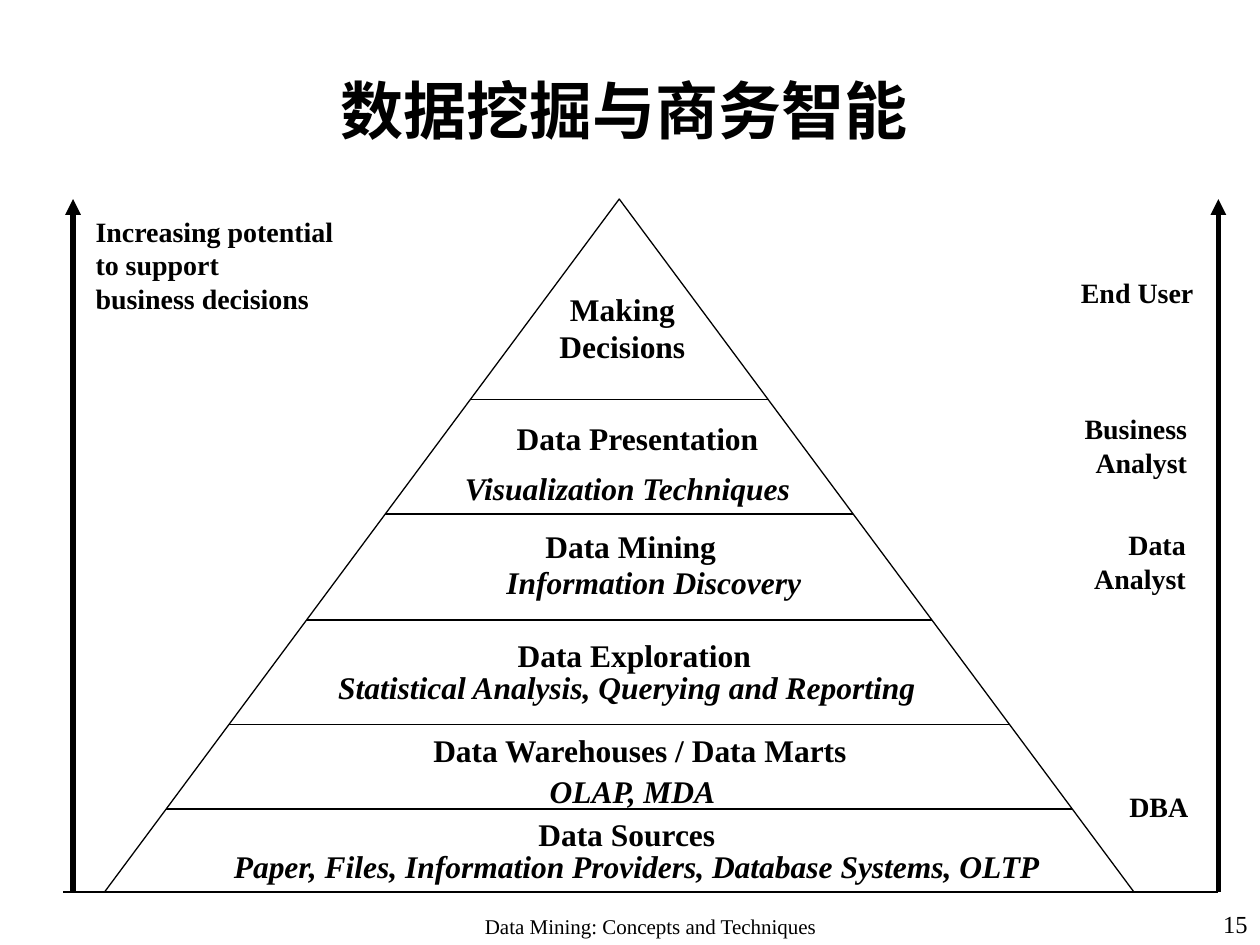
from lxml.etree import SubElement
from pptx import Presentation
from pptx.dml.color import RGBColor
from pptx.enum.shapes import MSO_CONNECTOR, MSO_SHAPE
from pptx.enum.text import MSO_ANCHOR, PP_ALIGN
from pptx.oxml.ns import qn
from pptx.util import Inches, Pt

SERIF, CJK = "Times New Roman", "Noto Sans CJK SC"
BLACK = "000000"
LEFT, CENTER, RIGHT = PP_ALIGN.LEFT, PP_ALIGN.CENTER, PP_ALIGN.RIGHT

TITLE = "数据挖掘与商务智能"
FOOTER = "Data Mining: Concepts and Techniques"
PAGE = "15"

# Pyramid: left, top, width, height, and the heights of its dividing lines
PYRAMID = (0.83, 1.58, 8.17, 5.5)
DIVIDERS = [6.42, 5.75, 4.92, 4.08, 3.17]
ARROWS_X = [0.58, 9.67]
BASELINE = (0.5, 9.67)

# Pyramid labels: lines, left, top, width, italic
LEVELS = [
    (["Making", "Decisions"], 4.34, 2.25, 1.2, False),
    (["Data Presentation"], 4, 3.28, 2.12, False),
    (["Visualization Techniques"], 3.57, 3.67, 2.82, True),
    (["Data Mining"], 4.23, 4.13, 1.55, False),
    (["Information Discovery"], 3.92, 4.42, 2.54, True),
    (["Data Exploration"], 4, 5, 2.07, False),
    (["Statistical Analysis, Querying and Reporting"], 2.58, 5.25, 4.79, True),
    (["Data Warehouses / Data Marts"], 3.33, 5.75, 3.5, False),
    (["OLAP, MDA"], 4.25, 6.08, 1.54, True),
    (["Data Sources"], 4.17, 6.42, 1.61, False),
    (["Paper, Files, Information Providers, Database Systems, OLTP"],
     1.75, 6.67, 6.61, True),
]
LEVEL_MARGIN = 0.1  # spare room on both sides, so that no label wraps

# Side labels: lines, left, top, width, alignment
SIDES = [
    (["Increasing potential", "to support", "business decisions"],
     0.66, 1.65, 2.09, LEFT),
    (["End User"], 8.48, 2.14, 1.09, RIGHT),
    (["Business", "Analyst"], 8.48, 3.22, 1.04, RIGHT),
    (["Data", "Analyst"], 8.58, 4.14, 0.93, RIGHT),
    (["DBA"], 8.86, 6.22, 0.67, RIGHT),
]


def rgb(color):
    return RGBColor.from_string(color)


def add_text(s, lines, box, size, align, bold=False, italic=False,
             font=SERIF, anchor=MSO_ANCHOR.TOP, wrap=False):
    tf = s.shapes.add_textbox(*map(Inches, box)).text_frame
    tf.word_wrap = wrap
    tf.vertical_anchor = anchor
    for i, line in enumerate(lines):
        p = tf.add_paragraph() if i else tf.paragraphs[0]
        p.text = line
        p.alignment = align
        p.font.size = Pt(size)
        p.font.bold = bold
        p.font.italic = italic
        p.font.name = font
        p.font.color.rgb = rgb(BLACK)
    return tf


def add_line(s, x1, y1, x2, y2, width=0.75, arrow=False):
    line = s.shapes.add_connector(MSO_CONNECTOR.STRAIGHT,
                                  *map(Inches, (x1, y1, x2, y2)))
    line.line.color.rgb = rgb(BLACK)
    line.line.width = Pt(width)
    if arrow:
        SubElement(line.line._get_or_add_ln(), qn("a:tailEnd"), type="triangle")
    SubElement(line._element.spPr, qn("a:effectLst"))


def add_pyramid(s):
    left, top, width, height = PYRAMID
    shape = s.shapes.add_shape(MSO_SHAPE.FLOWCHART_EXTRACT, *map(Inches, PYRAMID))
    shape.shadow.inherit = False
    shape.fill.background()
    shape.line.color.rgb = rgb(BLACK)
    shape.line.width = Pt(0.75)
    middle = left + width / 2
    for y in DIVIDERS:
        half = width / 2 * (y - top) / height
        add_line(s, middle - half, y, middle + half, y)


def main():
    prs = Presentation()
    prs.slide_width, prs.slide_height = Inches(10), Inches(7.5)
    s = prs.slides.add_slide(prs.slide_layouts[6])

    add_text(s, [FOOTER], (3.58, 7.08, 3.17, 0.42), 12, CENTER,
             anchor=MSO_ANCHOR.BOTTOM, wrap=True)
    add_text(s, [PAGE], (7.92, 7, 2.08, 0.5), 14, RIGHT,
             anchor=MSO_ANCHOR.BOTTOM, wrap=True)
    tf = add_text(s, [TITLE], (0.2, 0.58, 9.5, 0.58), 36, CENTER, bold=True,
                  font=CJK, anchor=MSO_ANCHOR.MIDDLE, wrap=True)
    # Chinese characters take the East Asian typeface
    SubElement(tf.paragraphs[0].font._element, qn("a:ea"), typeface=CJK)

    add_pyramid(s)
    top, bottom = PYRAMID[1], PYRAMID[1] + PYRAMID[3]
    for x in ARROWS_X:
        add_line(s, x, bottom, x, top, width=3, arrow=True)
    for lines, x, y, w, align in SIDES:
        add_text(s, lines, (x, y, w, 0.1 + 0.27 * len(lines)), 16, align, bold=True)
    for lines, x, y, w, italic in LEVELS:
        box = (x - LEVEL_MARGIN, y, w + 2 * LEVEL_MARGIN, 0.1 + 0.3 * len(lines))
        add_text(s, lines, box, 18, CENTER, bold=True, italic=italic)
    add_line(s, BASELINE[0], bottom, BASELINE[1], bottom)

    prs.save("out.pptx")


if __name__ == "__main__":
    main()
